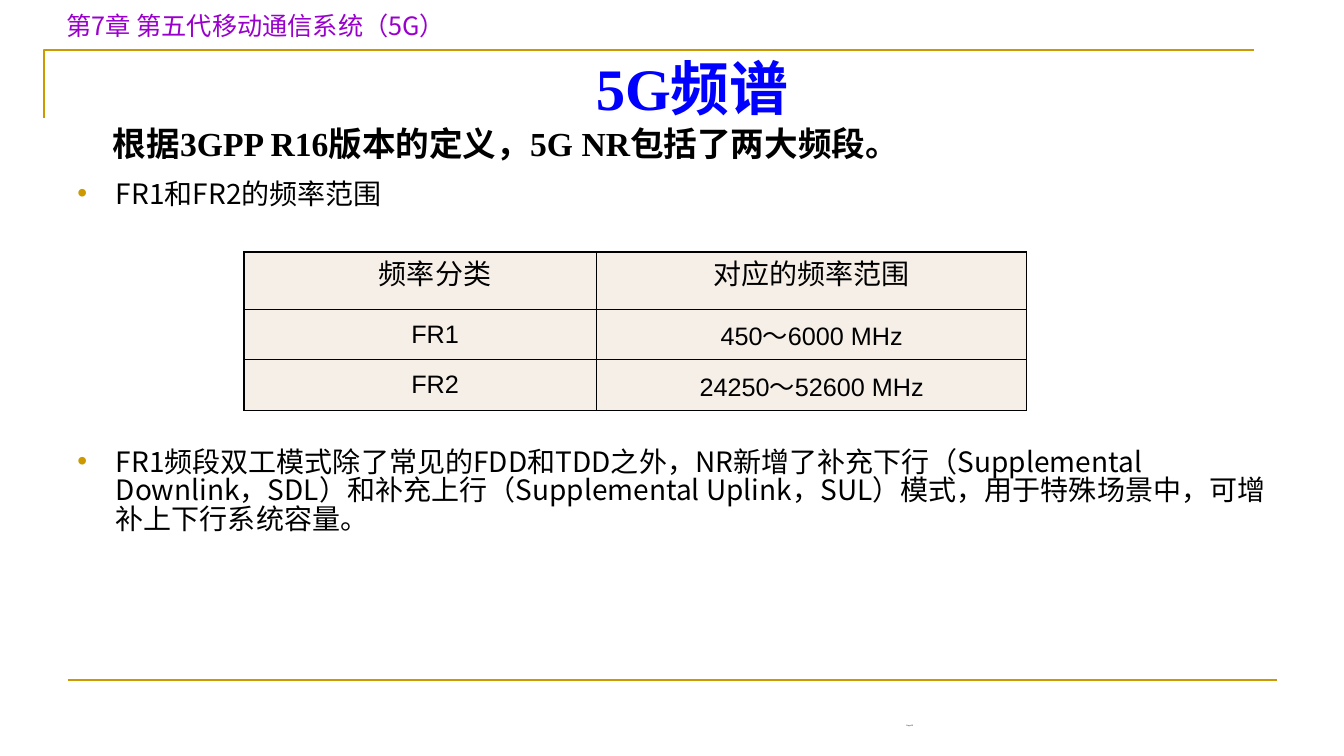
"""Build the 5G spectrum slide with its frequency range table."""
from lxml.etree import SubElement
from pptx import Presentation
from pptx.dml.color import RGBColor
from pptx.enum.shapes import MSO_CONNECTOR as Conn
from pptx.enum.text import MSO_ANCHOR as Anchor, PP_ALIGN as Align
from pptx.oxml.ns import qn
from pptx.util import Inches, Pt

GOLD = RGBColor(0xCC, 0x99, 0x00)
PURPLE = RGBColor(0x99, 0x00, 0xCC)
BLUE = RGBColor(0x00, 0x00, 0xFF)
BLACK = RGBColor(0x00, 0x00, 0x00)
CREAM = RGBColor(0xF6, 0xEF, 0xE7)
SANS = "Noto Sans CJK SC"
SERIF = "Times New Roman"

deck = Presentation()
deck.slide_width, deck.slide_height = Inches(13.33), Inches(7.5)
slide = deck.slides.add_slide(deck.slide_layouts[6])
shapes = slide.shapes


def add_box(left, top, width, height):
    box = shapes.add_textbox(*map(Inches, (left, top, width, height)))
    box.text_frame.word_wrap = True
    return box.text_frame


def add_run(para, text, size, face, color, bold=False, asian=SANS):
    run = para.add_run()
    run.text = text
    font = run.font
    font.size, font.name, font.bold = Pt(size), face, bold
    font.color.rgb = color
    SubElement(font._element, qn("a:ea"), typeface=asian)


pen = shapes.build_freeform(Inches(0.44), Inches(1.17))
pen.add_line_segments([(Inches(0.44), Inches(0.5)), (Inches(12.44), Inches(0.5))], close=False)
frame = pen.convert_to_shape()
frame.shadow.inherit = False
frame.fill.background()
rule = shapes.add_connector(Conn.STRAIGHT, Inches(0.67), Inches(6.75), Inches(12.67), Inches(6.75))
SubElement(rule._element.spPr, qn("a:effectLst"))
for edge in (frame, rule):
    edge.line.color.rgb = GOLD
    edge.line.width = Pt(1.5)

head = add_box(0.56, 0.05, 5.78, 0.4)
add_run(head.paragraphs[0], "第7章 第五代移动通信系统（5G）", 18, "Noto Sans CJK JP", PURPLE,
        asian="Noto Sans CJK JP")

title = add_box(0.58, 0.42, 12, 0.88)
title.margin_left = Inches(0.67)
title.vertical_anchor = Anchor.MIDDLE
title.paragraphs[0].alignment = Align.CENTER
add_run(title.paragraphs[0], "5G频谱", 42, SERIF, BLUE, True)

lead = add_box(0.79, 1.17, 10.16, 0.5)
lead.margin_left = Inches(0.33)
add_run(lead.paragraphs[0], "根据3GPP R16版本的定义，5G NR包括了两大频段。", 24, SERIF, BLACK, True)

POINTS = [
    ("FR1和FR2的频率范围", 0),
    ("FR1频段双工模式除了常见的FDD和TDD之外，NR新增了补充下行（Supplemental Downlink，SDL）"
     "和补充上行（Supplemental Uplink，SUL）模式，用于特殊场景中，可增补上下行系统容量。", 171),
]
body = add_box(0.67, 1.75, 12.22, 4.95)
for i, (text, gap) in enumerate(POINTS):
    para = body.add_paragraph() if i else body.paragraphs[0]
    para.line_spacing = 0.85
    para.space_before = Pt(gap)
    props = para._p.get_or_add_pPr()
    props.set("marL", str(Inches(0.38)))
    props.set("indent", str(-Inches(0.38)))
    tint = SubElement(props, qn("a:buClr"))
    SubElement(tint, qn("a:srgbClr"), val=str(GOLD))
    SubElement(props, qn("a:buFont"), typeface="Arial")
    SubElement(props, qn("a:buChar"), char="•")
    add_run(para, text, 20, SANS, BLACK)

ROWS = [
    ("频率分类", "对应的频率范围"),
    ("FR1", "450～6000 MHz"),
    ("FR2", "24250～52600 MHz"),
]
table = shapes.add_table(3, 2, Inches(2.42), Inches(2.5), Inches(7.76), Inches(1.57)).table
for col, width in zip(table.columns, (3.5, 4.26)):
    col.width = Inches(width)
for row, height in zip(table.rows, (0.57, 0.5, 0.5)):
    row.height = Inches(height)
for r, texts in enumerate(ROWS):
    for c, text in enumerate(texts):
        cell = table.cell(r, c)
        cell.margin_left = cell.margin_right = Inches(0.07)
        cell.margin_top = cell.margin_bottom = 0
        cell.vertical_anchor = Anchor.MIDDLE if r else Anchor.TOP
        props = cell._tc.get_or_add_tcPr()
        for side in ("lnL", "lnR", "lnT", "lnB"):
            line = SubElement(props, qn("a:" + side), w=str(Pt(1)))
            ink = SubElement(line, qn("a:solidFill"))
            SubElement(ink, qn("a:srgbClr"), val=str(BLACK))
        cell.fill.solid()
        cell.fill.fore_color.rgb = CREAM
        para = cell.text_frame.paragraphs[0]
        para.alignment = Align.CENTER
        if c == 0:
            para._p.get_or_add_pPr().set("indent", str(Inches(0.29)))
        add_run(para, text, 18 if r else 20, "Arial", BLACK)

page = add_box(8.89, 7.14, 2.22, 0.36)
add_run(page.paragraphs[0], "Page13", 1.4, "Arial", BLACK)

deck.save("out.pptx")
